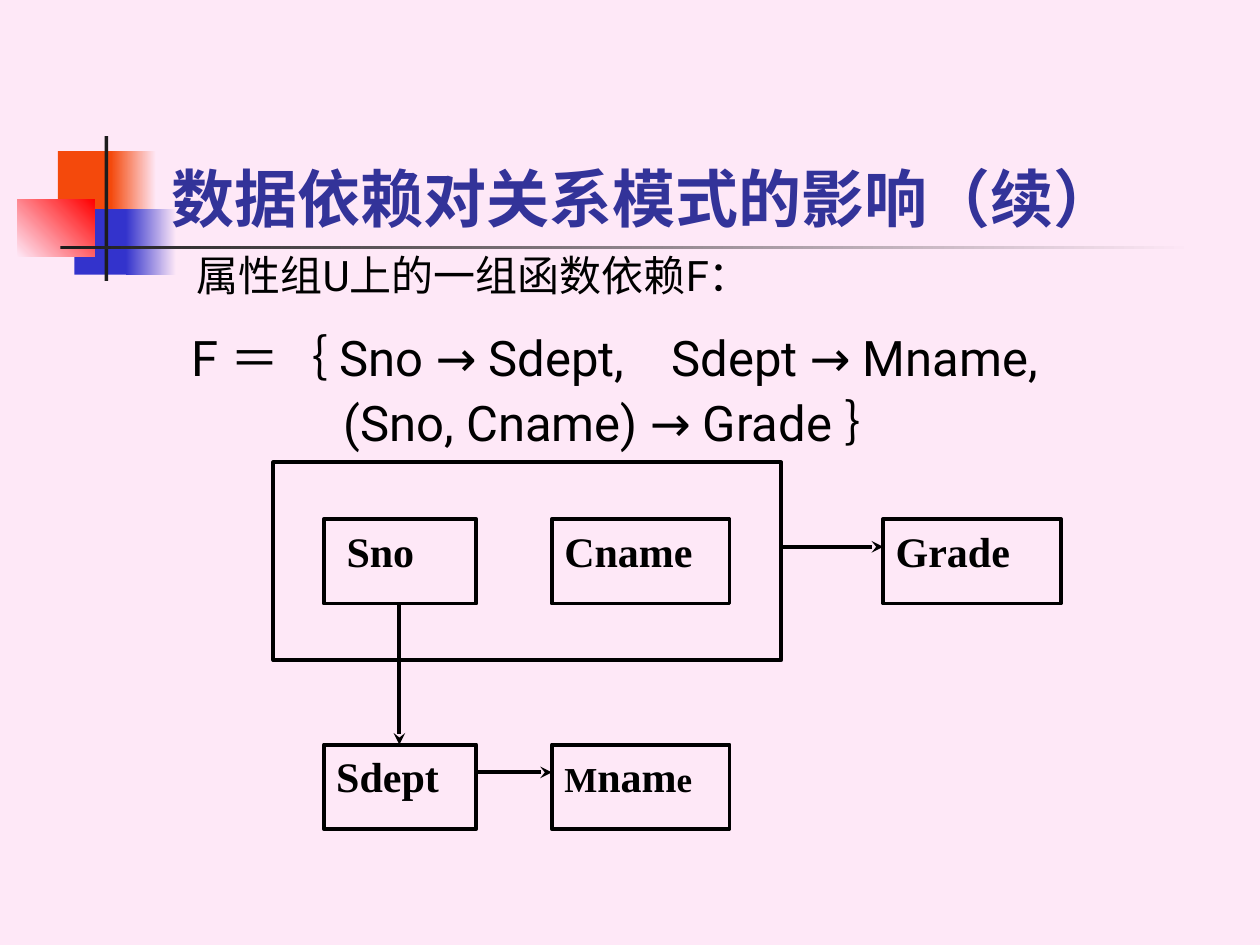
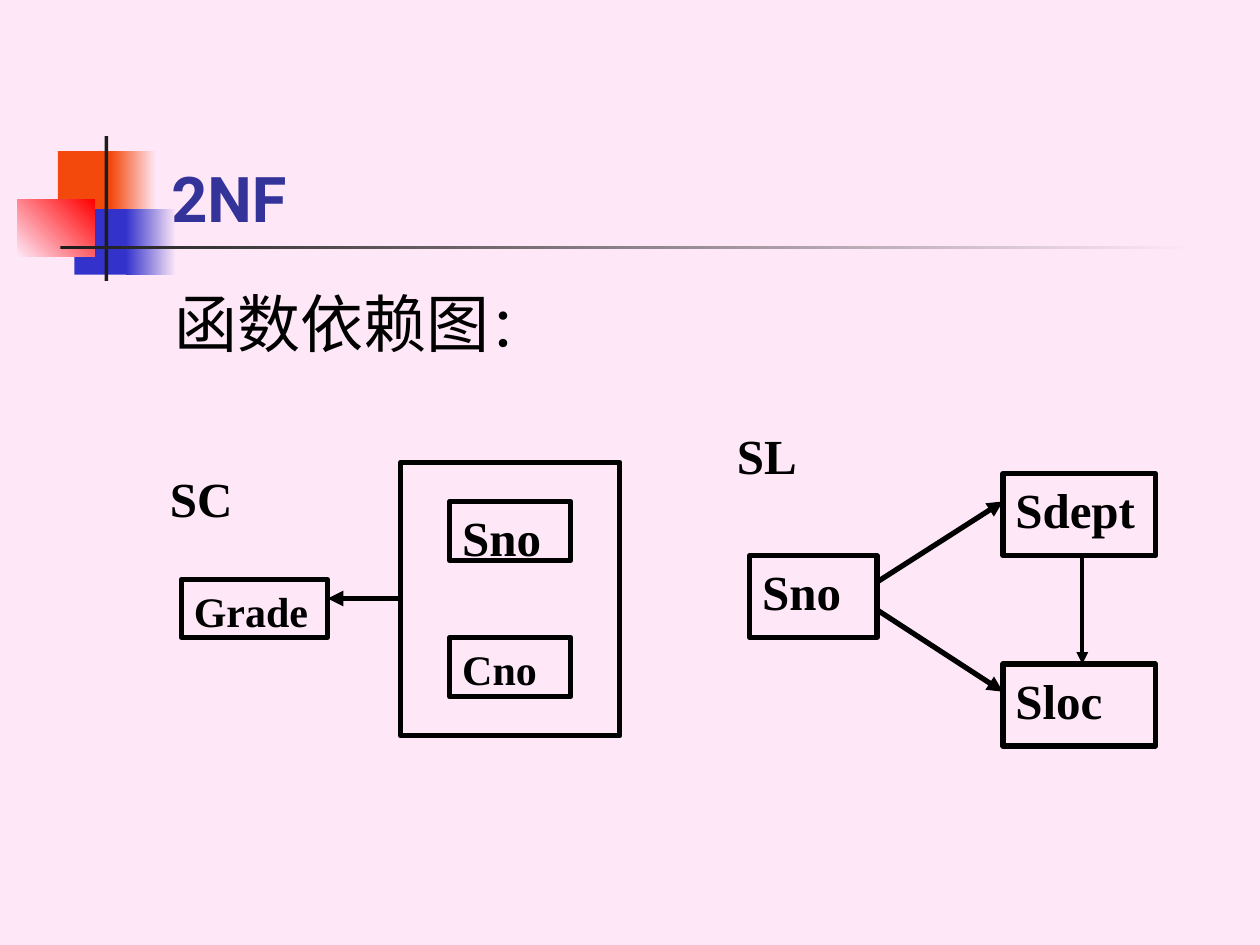
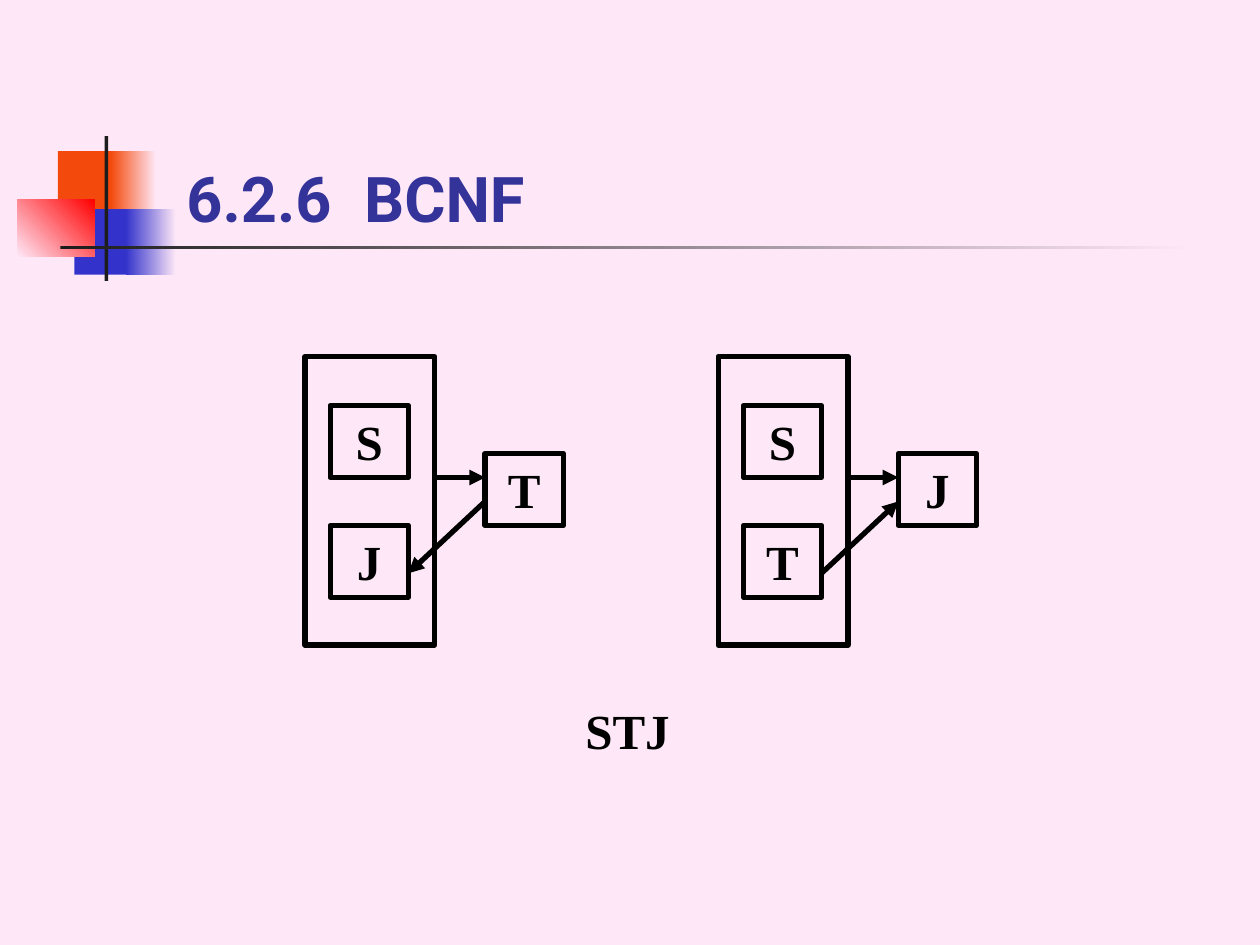
import pptx
import pptx.util
import pptx.dml.color
import pptx.enum.dml
import pptx.enum.shapes
import pptx.enum.text
import pptx.oxml.ns
from lxml import etree

Inches = pptx.util.Inches
Pt = pptx.util.Pt
Align = pptx.enum.text.PP_ALIGN
Anchor = pptx.enum.text.MSO_ANCHOR

# Shared look
PINK, ORANGE, BLUE, RED = "FEE8F7", "F4490C", "3333CC", "FF0000"
CHARCOAL, BLACK, TITLE_BLUE = "1C1C1C", "000000", "333399"
HEADING_FONT, DIAGRAM_FONT = "Roboto", "Times New Roman"
INSET_X, INSET_Y = 0.1, 0.05
TITLE_AREA = (1.26, 0.67, 8.52, 1.25)

# Corner motif and rule: area, first colour, second colour (None is plain), angle
MOTIF = [
    ((0.46, 1.2, 0.48, 0.52), ORANGE, None, 0),
    ((0.88, 1.2, 0.36, 0.52), ORANGE, PINK, 0),
    ((0.59, 1.66, 0.46, 0.52), BLUE, None, 0),
    ((1, 1.66, 0.4, 0.52), BLUE, PINK, 0),
    ((0.14, 1.58, 0.61, 0.46), PINK, RED, 45),
    ((0.83, 1.08, 0.03, 1.15), CHARCOAL, None, 0),
    ((0.48, 1.95, 9, 0.03), CHARCOAL, PINK, 0),
]

# Slide 1: text lines as (spans, indent, space before, line spacing)
INFLUENCE_TITLE = "数据依赖对关系模式的影响（续）"
DEPENDENCY_LINES = [
    ([("属性组U上的一组函数依赖F：", 24)], 0.04, 0, 1),
    ([("F ＝｛ Sno → Sdept,\tSdept → Mname,", 28)], 0, 9, 1.2),
    ([("(Sno, Cname) → Grade ｝", 28)], 1.21, 3.5, 1),
]
SECOND_DEPENDENCY_TAB = 3.81
KEY_AREA = (2.17, 3.67, 4.03, 1.57)
COLUMNS = [(2.57, 1.21), (4.38, 1.41), (7.01, 1.41)]
ROWS = [4.12, 5.91]
CELL_HEIGHT = 0.67
# Attributes: spans, column, row, extra indent
ATTRIBUTES = [
    ([("Sno", 24)], 0, 0, 0.08),
    ([("Cname", 24)], 1, 0, 0),
    ([("Grade", 24)], 2, 0, 0),
    ([("Sdept", 24)], 0, 1, 0),
    ([("M", 20), ("nam", 24), ("e", 20)], 1, 1, 0),
]
ATTRIBUTE_ARROWS = [
    (3.17, 4.79, 3.17, 5.91),
    (3.78, 6.13, 4.38, 6.13),
    (6.2, 4.34, 7.01, 4.34),
]

# Slide 2
SECOND_FORM_TITLE = "2NF"
DIAGRAM_HEADING = [("函数依赖图", 36), ("：", 32)]
SC_KEY_AREA = (3.18, 3.67, 1.74, 2.17)
RELATION_NAMES = [
    ("SC", (1.25, 3.67, 0.97, 0.46)),
    ("SL", (5.75, 3.33, 1.21, 0.65)),
]
RELATION_BOXES = [
    ("Sno", 28, (3.57, 3.98, 0.96, 0.47)),
    ("Cno", 24, (3.57, 5.06, 0.96, 0.47)),
    ("Grade", 24, (1.44, 4.6, 1.16, 0.46)),
    ("Sno", 28, (5.95, 4.41, 1.01, 0.65)),
    ("Sdept", 28, (7.96, 3.76, 1.21, 0.65)),
    ("Sloc", 28, (7.96, 5.27, 1.21, 0.65)),
]
RELATION_ARROWS = [
    ((3.18, 4.75, 2.6, 4.75), 3),
    ((6.96, 4.62, 7.96, 3.98), 3),
    ((6.96, 4.84, 7.96, 5.49), 3),
    ((8.59, 4.41, 8.59, 5.27), 2.25),
]

# Slide 3: left edge, upper, lower and outer attribute, whether outer points back
BCNF_TITLE = "6.2.6\tBCNF"
BCNF_PANELS = [
    (2.42, "S", "J", "T", True),
    (5.7, "S", "T", "J", False),
]
BCNF_CAPTION = ("STJ", (4.47, 5.51, 1.02, 0.57))


def color(value):
    return pptx.dml.color.RGBColor.from_string(value)


def place(shape, area):
    shape.left, shape.top, shape.width, shape.height = map(Inches, area)


def add_tab(paragraph, position):
    properties = paragraph._p.get_or_add_pPr()
    tabs = etree.SubElement(properties, pptx.oxml.ns.qn("a:tabLst"))
    etree.SubElement(tabs, pptx.oxml.ns.qn("a:tab"),
                     pos=str(Inches(position)), algn="l")


def write(paragraph, spans, font, bold=False):
    paragraph.font.name = font
    paragraph.font.bold = bold
    paragraph.font.color.rgb = color(BLACK)
    for text, size in spans:
        span = paragraph.add_run()
        span.text = text
        span.font.size = Pt(size)


def set_frame(shape, left_inset=INSET_X):
    frame = shape.text_frame
    frame.word_wrap = True
    frame.vertical_anchor = Anchor.TOP
    frame.margin_left = Inches(left_inset)
    frame.margin_right = Inches(INSET_X)
    frame.margin_top = frame.margin_bottom = Inches(INSET_Y)
    return frame


def add_box(page, area, width, spans=(), align=Align.LEFT, indent=0):
    """An outlined box, with a diagram label when spans are given."""
    box = page.shapes.add_shape(
        pptx.enum.shapes.MSO_SHAPE.RECTANGLE, *map(Inches, area))
    box.shadow.inherit = False
    box.fill.background()
    box.line.color.rgb = color(BLACK)
    box.line.width = Pt(width)
    if spans:
        para = set_frame(box, INSET_X + indent).paragraphs[0]
        para.alignment = align
        write(para, spans, DIAGRAM_FONT, bold=True)


def add_label(page, text, area, align=Align.LEFT):
    para = set_frame(page.shapes.add_textbox(*map(Inches, area))).paragraphs[0]
    para.alignment = align
    write(para, [(text, 28)], DIAGRAM_FONT, bold=True)


def add_arrow(page, ends, width, head="triangle"):
    arrow = page.shapes.add_connector(
        pptx.enum.shapes.MSO_CONNECTOR.STRAIGHT, *map(Inches, ends))
    arrow.line.color.rgb = color(BLACK)
    arrow.line.width = Pt(width)
    etree.SubElement(arrow.line._get_or_add_ln(),
                     pptx.oxml.ns.qn("a:tailEnd"), type=head)
    etree.SubElement(arrow._element.spPr, pptx.oxml.ns.qn("a:effectLst"))


def set_up_layout(deck):
    """Background, corner motif and title place, shared by all slides."""
    layout = deck.slide_layouts[5]
    background = deck.slide_master.background.fill
    background.solid()
    background.fore_color.rgb = color(PINK)
    place(layout.placeholders[0], TITLE_AREA)
    return layout


def add_motif(page, layout):
    """Draw the motif and hand its shapes to the layout."""
    for area, first, second, angle in MOTIF:
        block = page.shapes.add_shape(
            pptx.enum.shapes.MSO_SHAPE.RECTANGLE, *map(Inches, area))
        block.shadow.inherit = False
        block.line.fill.background()
        if second:
            block.fill.gradient()
            block.fill.gradient_angle = angle
            stops = block.fill.gradient_stops
            for stop, value, position in zip(stops, (first, second), (0, 1)):
                stop.color.rgb = color(value)
                stop.position = position
        else:
            block.fill.solid()
            block.fill.fore_color.rgb = color(first)
        layout.shapes.element.append(block._element)


def add_page(deck, layout, title, indent=0, tab=None):
    page = deck.slides.add_slide(layout)
    frame = set_frame(page.shapes.title, INSET_X + indent)
    frame.vertical_anchor = Anchor.BOTTOM
    para = frame.paragraphs[0]
    para.text = title
    para.alignment = Align.LEFT
    if tab:
        add_tab(para, tab)
    para.font.name = HEADING_FONT
    para.font.size = Pt(36)
    para.font.bold = True
    para.font.color.rgb = color(TITLE_BLUE)
    return page


def build_influence(deck, layout):
    page = add_page(deck, layout, INFLUENCE_TITLE)
    add_motif(page, layout)
    body = page.shapes.add_textbox(*map(Inches, (1.08, 1.93, 8.5, 1.7)))
    frame = set_frame(body, 0.44)
    for number, (spans, indent, before, spacing) in enumerate(DEPENDENCY_LINES):
        para = frame.add_paragraph() if number else frame.paragraphs[0]
        para._p.get_or_add_pPr().set("marL", str(Inches(indent)))
        para.space_before = Pt(before)
        para.line_spacing = spacing
        if "\t" in spans[0][0]:
            add_tab(para, SECOND_DEPENDENCY_TAB)
        write(para, spans, HEADING_FONT)

    add_box(page, KEY_AREA, 2.25)
    for spans, column, row, indent in ATTRIBUTES:
        left, width = COLUMNS[column]
        add_box(page, (left, ROWS[row], width, CELL_HEIGHT), 2.25, spans,
                indent=indent)
    for ends in ATTRIBUTE_ARROWS:
        add_arrow(page, ends, 2.25, "stealth")


def build_second_form(deck, layout):
    page = add_page(deck, layout, SECOND_FORM_TITLE)
    heading = page.shapes.add_textbox(*map(Inches, (1.29, 2.21, 8.5, 0.8)))
    write(set_frame(heading).paragraphs[0], DIAGRAM_HEADING, HEADING_FONT)
    add_box(page, SC_KEY_AREA, 3)
    for text, size, area in RELATION_BOXES:
        add_box(page, area, 3, [(text, size)])
    for text, area in RELATION_NAMES:
        add_label(page, text, area)
    for ends, width in RELATION_ARROWS:
        add_arrow(page, ends, width)


def build_bcnf(deck, layout):
    page = add_page(deck, layout, BCNF_TITLE, indent=0.12, tab=1.41)
    for left, upper, lower, outer, points_back in BCNF_PANELS:
        add_box(page, (left, 2.83, 1.03, 2.29), 3)
        inner_left, outer_left = left + 0.2, left + 1.43
        for text, x, y in [(upper, inner_left, 3.22), (lower, inner_left, 4.17),
                           (outer, outer_left, 3.6)]:
            add_box(page, (x, y, 0.62, 0.57), 3, [(text, 28)], Align.CENTER)
        add_arrow(page, (left + 1.03, 3.79, outer_left, 3.79), 3)
        lower_end, outer_end = (inner_left + 0.62, 4.55), (outer_left, 3.98)
        ends = outer_end + lower_end if points_back else lower_end + outer_end
        add_arrow(page, ends, 3)
    add_label(page, *BCNF_CAPTION, align=Align.CENTER)


def main():
    deck = pptx.Presentation()
    deck.slide_width, deck.slide_height = Inches(10), Inches(7.5)
    layout = set_up_layout(deck)
    build_influence(deck, layout)
    build_second_form(deck, layout)
    build_bcnf(deck, layout)
    deck.save("out.pptx")


if __name__ == "__main__":
    main()
